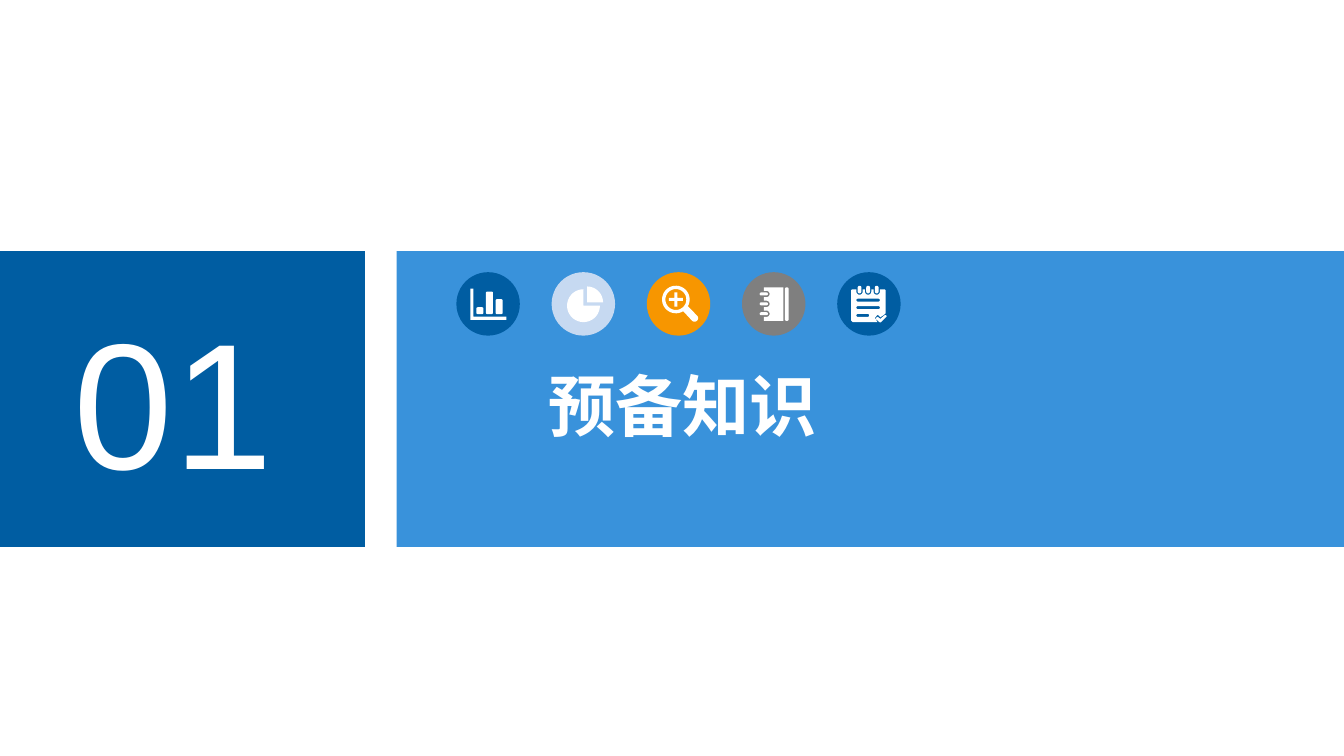
import math

from pptx import Presentation
from pptx.dml.color import RGBColor
from pptx.enum.shapes import MSO_SHAPE
from pptx.enum.text import MSO_AUTO_SIZE
from pptx.util import Pt

RECTANGLE = MSO_SHAPE.RECTANGLE
OVAL = MSO_SHAPE.OVAL
FIT_SHAPE = MSO_AUTO_SIZE.SHAPE_TO_FIT_TEXT

WHITE = RGBColor(0xFF, 0xFF, 0xFF)
DARK_BLUE = RGBColor(0x00, 0x5D, 0xA2)
BLUE = RGBColor(0x39, 0x92, 0xDB)
PALE_BLUE = RGBColor(0xC6, 0xD9, 0xF1)
ORANGE = RGBColor(0xF7, 0x96, 0x00)
GRAY = RGBColor(0x7F, 0x7F, 0x7F)


def arc(x, y, radius, start, end):
    steps = max(6, math.ceil(abs(end - start) / 10))
    angles = [math.radians(start + (end - start) * i / steps) for i in range(steps + 1)]
    return [(x + radius * math.cos(a), y + radius * math.sin(a)) for a in angles]


def rounded(left, top, right, bottom, radius):
    return (
        arc(left + radius, top + radius, radius, 180, 270)
        + arc(right - radius, top + radius, radius, 270, 360)
        + arc(right - radius, bottom - radius, radius, 0, 90)
        + arc(left + radius, bottom - radius, radius, 90, 180)
    )


deck = Presentation()
deck.slide_width = Pt(720)
deck.slide_height = Pt(405)
page = deck.slides.add_slide(deck.slide_layouts[6])

for left, width, color in [(212.5, 507.5, BLUE), (0, 195.5, DARK_BLUE)]:
    panel = page.shapes.add_shape(RECTANGLE, Pt(left), Pt(134.5), Pt(width), Pt(158.5))
    panel.shadow.inherit = False
    panel.fill.solid()
    panel.fill.fore_color.rgb = color
    panel.line.fill.background()

for text, left, top, width, height, size, bold in [
    ("01", 32.4, 152, 122.4, 123.8, 96, False),
    ("预备知识", 286.6, 191.5, 159.8, 51, 36, True),
]:
    box = page.shapes.add_textbox(Pt(left), Pt(top), Pt(width), Pt(height))
    frame = box.text_frame
    frame.text = text
    frame.word_wrap = False
    frame.auto_size = FIT_SHAPE
    font = frame.paragraphs[0].runs[0].font
    font.name = "Arial"
    font.size = Pt(size)
    font.bold = bold
    font.color.rgb = WHITE

bar_chart = [
    [(7.5, 8.8), (9.1, 8.8), (9.1, 23.8), (26.8, 23.8), (26.8, 25.6), (7.5, 25.6)],
]
for left, top in [(10.7, 18.8), (15.8, 10.4), (21, 14.5)]:
    bar_chart.append(rounded(left, top, left + 3.8, 22.5, 0.8))

pie_chart = [
    [(17.1, 18)] + arc(17.1, 18, 8.8, 0, 270),
    [(19, 16.3)] + arc(19, 16.3, 8.6, 270, 360),
]

lens_x, lens_y, arm, half = 15.6, 14.7, 3.8, 0.8
plus = [
    (-arm, -half), (-half, -half), (-half, -arm), (half, -arm),
    (half, -half), (arm, -half), (arm, half), (half, half),
    (half, arm), (-half, arm), (-half, half), (-arm, half),
]
magnifier = [
    arc(lens_x, lens_y, 7.4, 58, 389) + arc(25.6, 24.7, 1.9, -45, 135),
    arc(lens_x, lens_y, 5.6, 360, 0),
    [(lens_x + x, lens_y + y) for x, y in plus],
]

cover = [(11.7, 8.2), (22.2, 8.2), (22.2, 26.1), (11.7, 26.1)]
notebook = [rounded(23, 8.2, 25, 26.1, 0.8)]
for y in [22.3, 17, 11.7]:
    cover += [(11.7, y + 1.7)] + arc(13.1, y, 1.7, 90, -90) + [(11.7, y - 1.7)]
    notebook.append(rounded(9.5, y - 0.8, 13.9, y + 0.8, 0.8))
notebook.append(cover)

sheet = arc(8.3, 10, 0.8, 180, 270)
notepad = []
for x in [12, 16.6, 21.2]:
    sheet += [(x - 1.7, 9.2)] + arc(x, 10.4, 1.7, 180, 0) + [(x + 1.7, 9.2)]
    notepad.append(rounded(x - 1, 7.3, x + 1, 11.4, 1))
sheet += arc(25.2, 10, 0.8, 270, 360) + [
    (26, 22), (25.4, 22.6), (23.2, 24.2), (21.7, 22.8), (20.2, 24.6),
    (21.6, 26.8), (8.3, 26.8), (7.5, 26),
]
notepad.append(sheet)
for y, right in [(14.2, 22.9), (18.2, 22.9), (22.4, 17.2)]:
    notepad.append(rounded(10.3, y, right, y + 1.6, 0.8))
notepad.append([
    (26.5, 23.8), (23.4, 26.9), (22.8, 26.9), (20.8, 25.2), (20.8, 24.5),
    (21.8, 23.9), (23.1, 25.1), (25.4, 23.1), (26.3, 23.1),
])

badges = [
    (DARK_BLUE, bar_chart),
    (PALE_BLUE, pie_chart),
    (ORANGE, magnifier),
    (GRAY, notebook),
    (DARK_BLUE, notepad),
]
badge_top = 145.8
for index, (color, outlines) in enumerate(badges):
    badge_left = 244.5 + 51 * index
    badge = page.shapes.add_group_shape()
    circle = badge.shapes.add_shape(OVAL, Pt(badge_left), Pt(badge_top), Pt(34), Pt(34))
    builder = None
    for outline in outlines:
        points = [(Pt(badge_left + x), Pt(badge_top + y)) for x, y in outline]
        if builder is None:
            builder = badge.shapes.build_freeform(*points[0])
        else:
            builder.move_to(*points[0])
        builder.add_line_segments(points[1:], close=True)
    icon = builder.convert_to_shape()
    for shape, fill_color in [(circle, color), (icon, WHITE)]:
        shape.shadow.inherit = False
        shape.fill.solid()
        shape.fill.fore_color.rgb = fill_color
        shape.line.fill.background()

deck.save("out.pptx")
